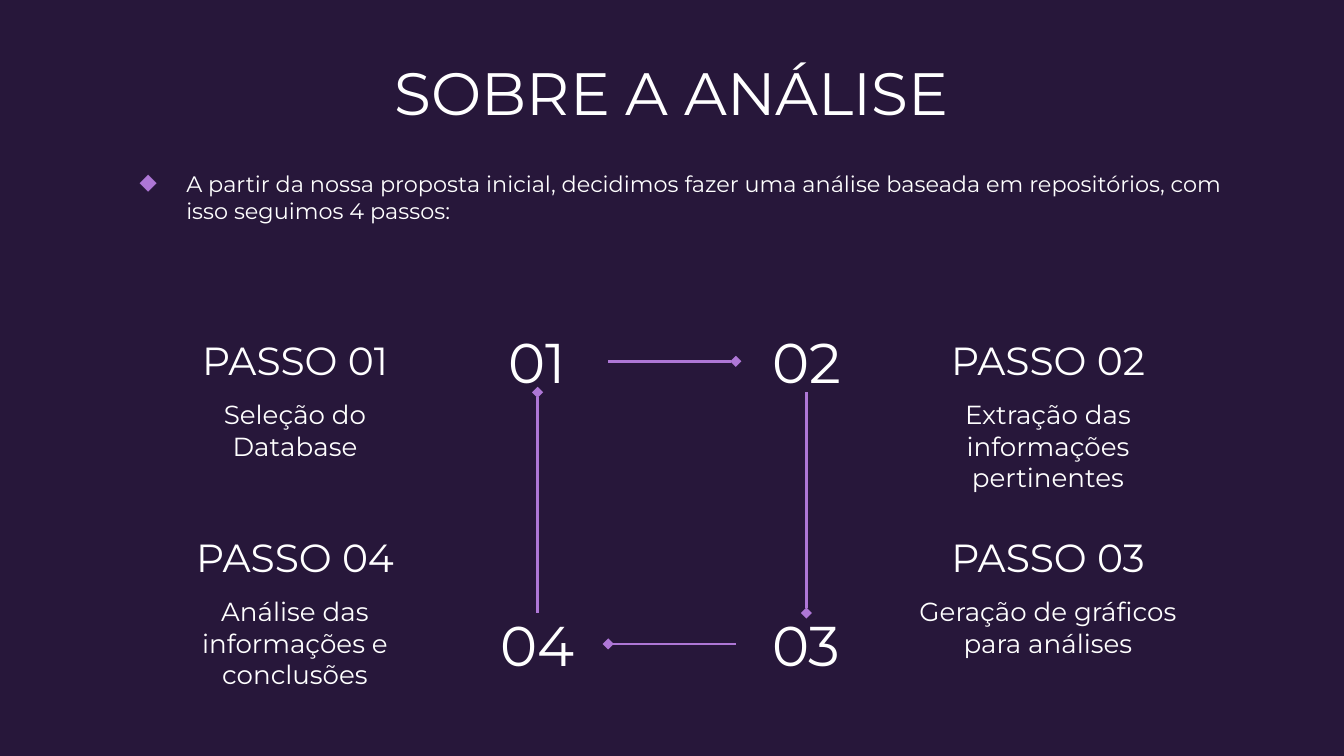
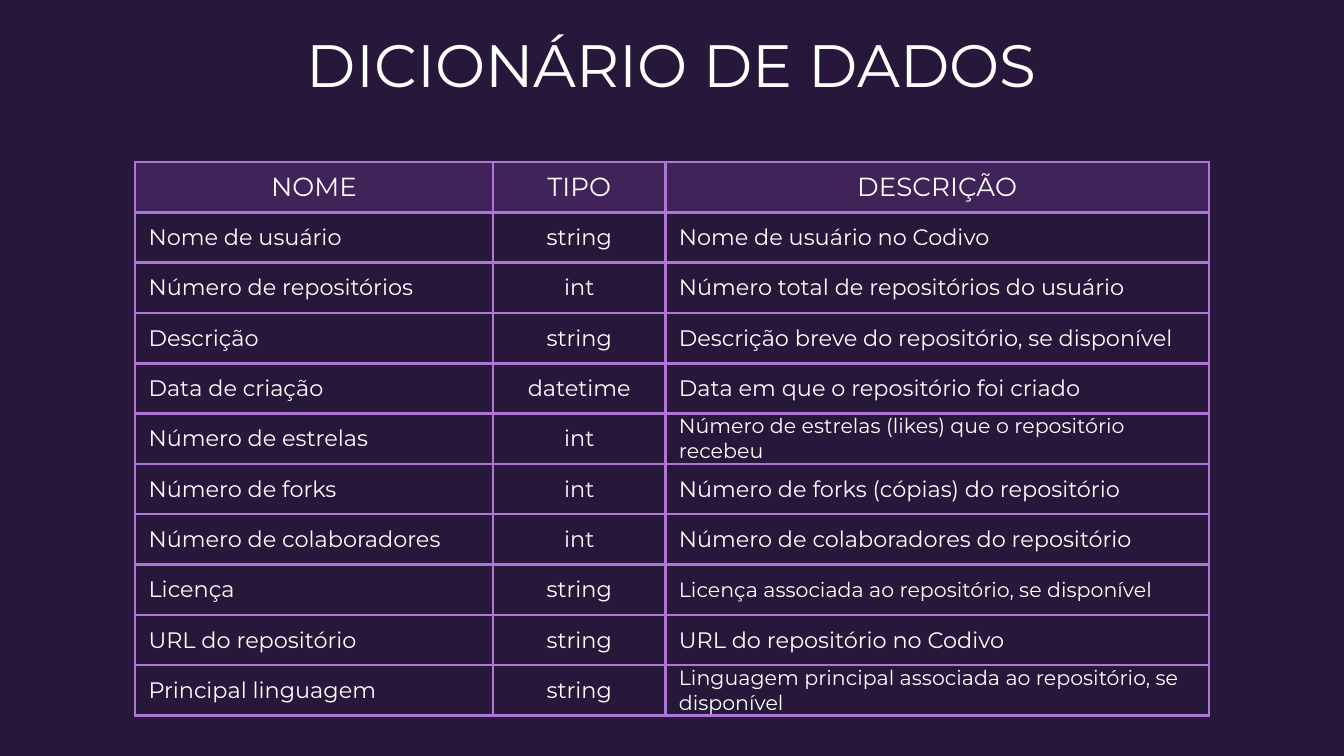
from dataclasses import dataclass

from lxml import etree
from pptx import Presentation
from pptx import util as u
from pptx.dml.color import RGBColor
from pptx.enum import shapes, text
from pptx.oxml.ns import qn


@dataclass(frozen=True)
class Theme:
    font: str = "Montserrat"
    background: str = "27173A"
    ink: str = "FFFFFF"
    accent: str = "AE77D6"
    header: str = "733C9B"
    header_alpha: str = "33000"
    title: float = 32
    number: float = 30
    heading: float = 21
    body: float = 14
    detail: float = 12
    small: float = 11
    line: float = 1.5
    inset: float = 7.2


theme = Theme()
ALIGN, ANCHOR = text.PP_ALIGN, text.MSO_ANCHOR


def write(tf, txt, size=theme.body, align=ALIGN.CENTER, anchor=ANCHOR.TOP, inset=theme.inset):
    tf.word_wrap = True
    tf.auto_size = text.MSO_AUTO_SIZE.NONE
    tf.vertical_anchor = anchor
    tf.margin_left = tf.margin_right = u.Pt(theme.inset)
    tf.margin_top = tf.margin_bottom = u.Pt(inset)
    p = tf.paragraphs[0]
    p.alignment = align
    r = p.add_run()
    r.text = txt
    r.font.name = theme.font
    r.font.size = u.Pt(size)
    r.font.color.rgb = RGBColor.from_string(theme.ink)
    return p


def add_text(s, left, top, width, height, txt, **fmt):
    sp = s.shapes.add_textbox(u.Pt(left), u.Pt(top), u.Pt(width), u.Pt(height))
    write(sp.text_frame, txt, **fmt)
    return sp


prs = Presentation()
prs.slide_width, prs.slide_height = u.Pt(720), u.Pt(405)
bg = prs.slide_master.background.fill
bg.solid()
bg.fore_color.rgb = RGBColor.from_string(theme.background)

slides = []
for title, top in (("SOBRE A ANÁLISE", 22.5), ("DICIONÁRIO DE DADOS", 7.5)):
    s = prs.slides.add_slide(prs.slide_layouts[5])
    sp = s.shapes.title
    sp.left, sp.top, sp.width, sp.height = u.Pt(56.7), u.Pt(top), u.Pt(606.6), u.Pt(45)
    write(sp.text_frame, title, size=theme.title)
    slides.append(s)
steps_slide, dictionary_slide = slides

# Four steps, clockwise from the top left
intro = add_text(
    steps_slide, 56.7, 84.2, 622, 33,
    "A partir da nossa proposta inicial, decidimos fazer uma análise baseada em "
    "repositórios, com isso seguimos 4 passos:",
    size=theme.detail, align=ALIGN.LEFT)
pPr = intro.text_frame.paragraphs[0]._p.get_or_add_pPr()
pPr.set("marL", str(u.Pt(36)))
pPr.set("indent", str(u.Pt(-25)))
bullet_color = etree.SubElement(pPr, qn("a:buClr"))
etree.SubElement(bullet_color, qn("a:srgbClr"), val=theme.accent)
etree.SubElement(pPr, qn("a:buChar"), char="◆")

steps = [
    ("Seleção do Database", 0, 0),
    ("Extração das informações pertinentes", 1, 0),
    ("Geração de gráficos para análises", 1, 1),
    ("Análise das informações e conclusões", 0, 1),
]
numbers = []
for i, (body, col, row) in enumerate(steps, 1):
    text_left = 80 + 403.4 * col
    heading_top = 176.4 + 105.6 * row
    add_text(steps_slide, text_left, heading_top, 156.2, 36, f"PASSO {i:02}",
             size=theme.heading, anchor=ANCHOR.BOTTOM)
    add_text(steps_slide, text_left, heading_top + 30, 156.2, 50.4, body)
    numbers.append(add_text(
        steps_slide, 250.2 + 144 * col, 177 + 151.4 * row, 75.6, 33.2, f"{i:02}",
        size=theme.number, anchor=ANCHOR.MIDDLE))

# Sides are numbered 0 top, 1 left, 2 bottom, 3 right
for i, (start, end) in enumerate(((3, 1), (2, 0), (1, 3), (0, 2))):
    cn = steps_slide.shapes.add_connector(shapes.MSO_CONNECTOR.STRAIGHT, 0, 0, 0, 0)
    cn.begin_connect(numbers[i], start)
    cn.end_connect(numbers[(i + 1) % len(numbers)], end)
    cn.line.color.rgb = RGBColor.from_string(theme.accent)
    cn.line.width = u.Pt(theme.line)
    etree.SubElement(cn.line._get_or_add_ln(), qn("a:tailEnd"), type="diamond")
    etree.SubElement(cn._element.spPr, qn("a:effectLst"))

# Data dictionary
rows = [
    ("NOME", "TIPO", "DESCRIÇÃO"),
    ("Nome de usuário", "string", "Nome de usuário no Codivo"),
    ("Número de repositórios", "int", "Número total de repositórios do usuário"),
    ("Descrição", "string", "Descrição breve do repositório, se disponível"),
    ("Data de criação", "datetime", "Data em que o repositório foi criado"),
    ("Número de estrelas", "int", "Número de estrelas (likes) que o repositório recebeu"),
    ("Número de forks", "int", "Número de forks (cópias) do repositório"),
    ("Número de colaboradores", "int", "Número de colaboradores do repositório"),
    ("Licença", "string", "Licença associada ao repositório, se disponível"),
    ("URL do repositório", "string", "URL do repositório no Codivo"),
    ("Principal linguagem", "string",
     "Linguagem principal associada ao repositório, se disponível"),
]
widths = (191.8, 92.3, 291.1)
row_height = 26.96
longest_at_full_size = 45
table = dictionary_slide.shapes.add_table(
    len(rows), len(widths), u.Pt(72.4), u.Pt(86.8),
    u.Pt(sum(widths)), u.Pt(row_height * len(rows))).table
table.first_row = table.horz_banding = False
for column, width in zip(table.columns, widths):
    column.width = u.Pt(width)

for i, row in enumerate(rows):
    table.rows[i].height = u.Pt(row_height)
    for j, txt in enumerate(row):
        cell = table.cell(i, j)
        size = theme.body if i == 0 else theme.detail
        if len(txt) > longest_at_full_size:
            size = theme.small
        centered = i == 0 or j == 1
        write(cell.text_frame, txt, size=size, inset=0,
              align=ALIGN.CENTER if centered else ALIGN.LEFT)
        cell.vertical_anchor = ANCHOR.MIDDLE
        cell.margin_left = cell.margin_right = u.Pt(theme.inset)
        cell.margin_top = cell.margin_bottom = 0
        tcPr = cell._tc.get_or_add_tcPr()
        for side in ("lnL", "lnR", "lnT", "lnB"):
            ln = etree.SubElement(tcPr, qn(f"a:{side}"), w=str(u.Pt(theme.line)))
            border = etree.SubElement(ln, qn("a:solidFill"))
            etree.SubElement(border, qn("a:srgbClr"), val=theme.accent)
        if i == 0:
            cell.fill.solid()
            cell.fill.fore_color.rgb = RGBColor.from_string(theme.header)
            color = tcPr.find(qn("a:solidFill")).find(qn("a:srgbClr"))
            etree.SubElement(color, qn("a:alpha"), val=theme.header_alpha)
        else:
            cell.fill.background()

prs.save("out.pptx")
